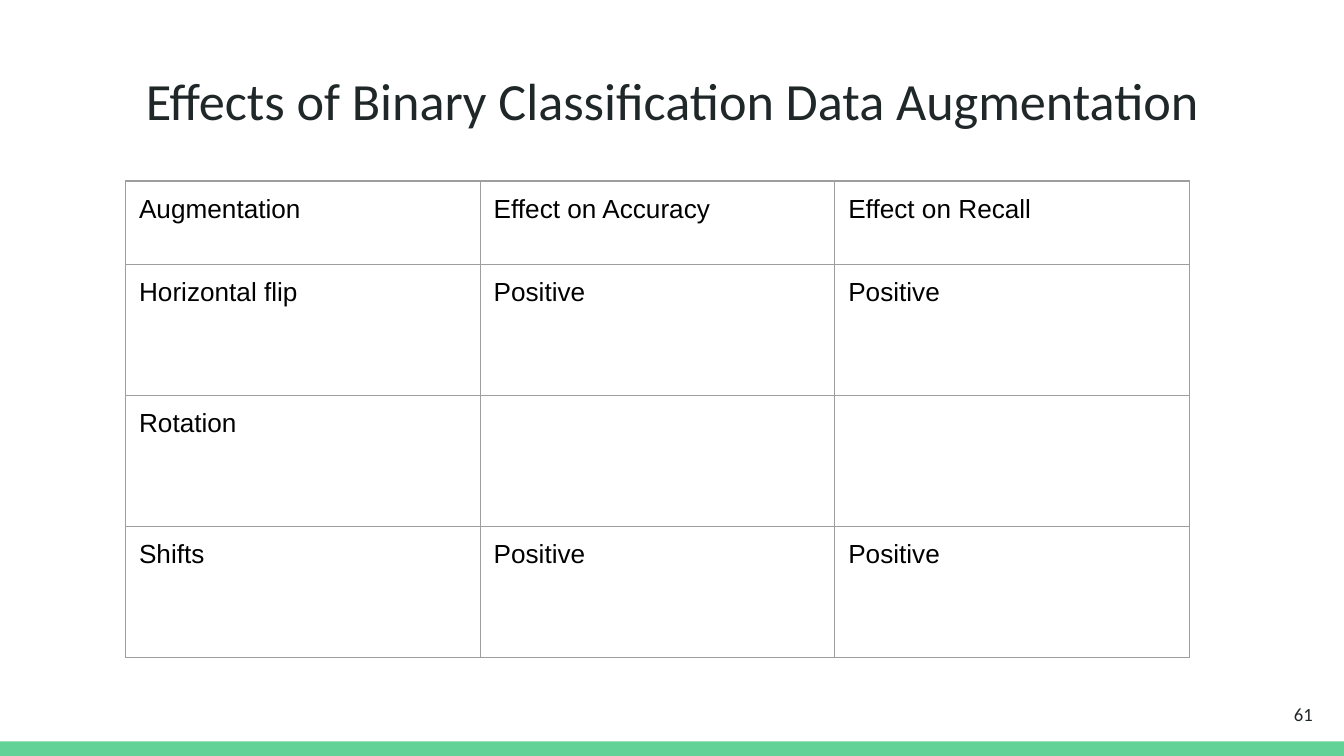
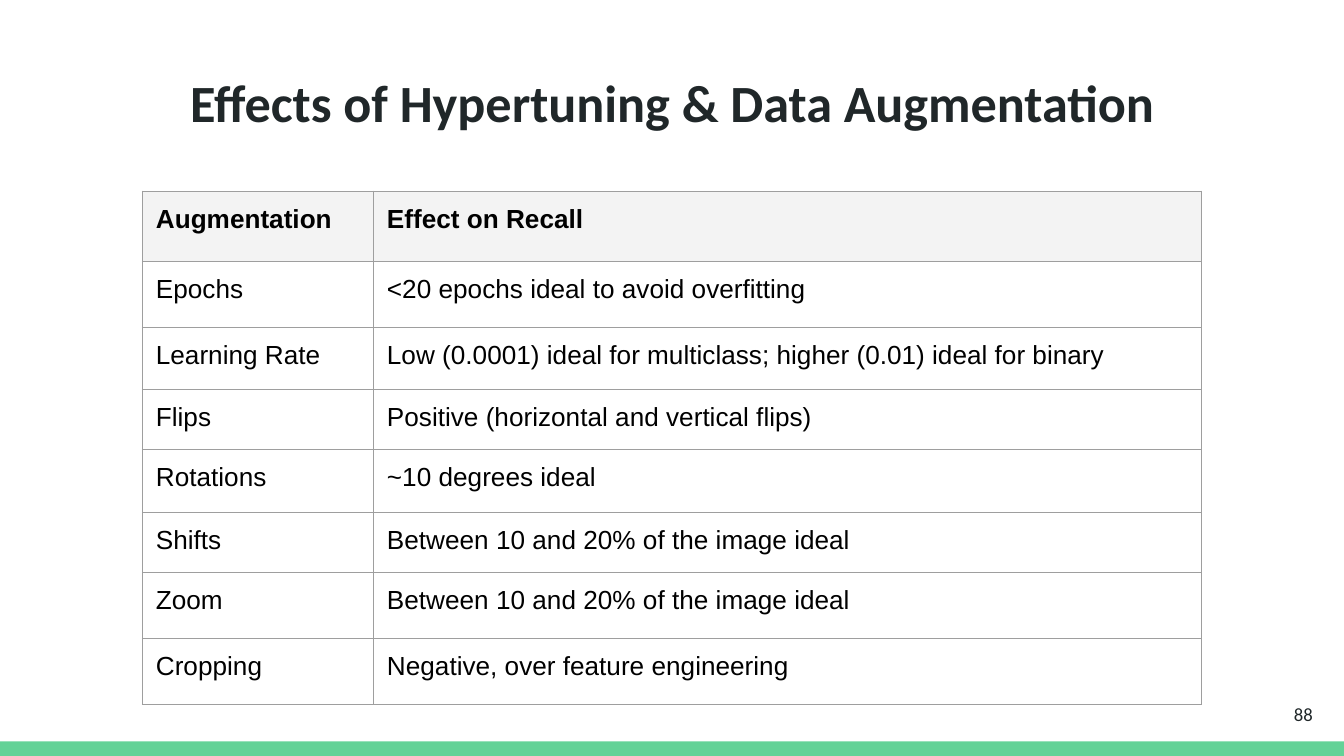
"""Builds two slides with tables on the effects of data augmentation."""
from lxml.etree import SubElement
from pptx import Presentation
from pptx.dml.color import RGBColor
from pptx.enum.shapes import MSO_SHAPE
from pptx.enum.text import MSO_ANCHOR, MSO_AUTO_SIZE, PP_ALIGN
from pptx.oxml.ns import qn
from pptx.util import Pt

COLORS = {
    "band": "63D297",
    "heading": "202729",
    "text": "000000",
    "border": "9E9E9E",
    "header": "F3F3F3",
}
WIDTH, HEIGHT = 720, 405
BAND_HEIGHT = 7.8
INSET = 7.2
TITLE_ONLY = 5

BINARY_EFFECTS = [
    ("Augmentation", "Effect on Accuracy", "Effect on Recall"),
    ("Horizontal flip", "Positive", "Positive"),
    ("Rotation", "", ""),
    ("Shifts", "Positive", "Positive"),
]
TUNING_EFFECTS = [
    ("Augmentation", "Effect on Recall"),
    ("Epochs", "<20 epochs ideal to avoid overfitting"),
    ("Learning Rate", "Low (0.0001) ideal for multiclass; higher (0.01) ideal for binary"),
    ("Flips", "Positive (horizontal and vertical flips)"),
    ("Rotations", "~10 degrees ideal"),
    ("Shifts", "Between 10 and 20% of the image ideal"),
    ("Zoom", "Between 10 and 20% of the image ideal"),
    ("Cropping", "Negative, over feature engineering"),
]


def color(name):
    return RGBColor.from_string(COLORS[name])


def write(frame, text, *, size=14, font="Arial", ink="text", bold=False,
          align=PP_ALIGN.LEFT):
    frame.word_wrap = True
    frame.margin_left = frame.margin_right = Pt(INSET)
    frame.margin_top = frame.margin_bottom = Pt(INSET)
    paragraph = frame.paragraphs[0]
    paragraph.alignment = align
    if not text:
        return
    run = paragraph.add_run()
    run.text = text
    run.font.size = Pt(size)
    run.font.name = font
    run.font.bold = bold
    run.font.color.rgb = color(ink)


def add_band(slide):
    band = slide.shapes.add_shape(
        MSO_SHAPE.RECTANGLE, 0, Pt(HEIGHT - BAND_HEIGHT), Pt(WIDTH), Pt(BAND_HEIGHT))
    band.shadow.inherit = False
    band.fill.solid()
    band.fill.fore_color.rgb = color("band")
    band.line.fill.background()


def add_title(slide, text, top, bold):
    title = slide.shapes.title
    title.left, title.top, title.width, title.height = Pt(24.5), Pt(top), Pt(671), Pt(45)
    frame = title.text_frame
    frame.auto_size = MSO_AUTO_SIZE.NONE
    frame.vertical_anchor = MSO_ANCHOR.TOP
    write(frame, text, size=28, font="Calibri", ink="heading", bold=bold,
          align=PP_ALIGN.CENTER)


def add_page_number(slide, number):
    page = slide.shapes.add_textbox(Pt(667.1), Pt(367.2), Pt(43.2), Pt(31))
    page.text_frame.vertical_anchor = MSO_ANCHOR.MIDDLE
    write(page.text_frame, str(number), size=10, font="Calibri", ink="heading",
          align=PP_ALIGN.RIGHT)


def add_borders(cell):
    properties = cell._tc.get_or_add_tcPr()
    for side in ("lnL", "lnR", "lnT", "lnB"):
        line = SubElement(properties, qn(f"a:{side}"), w=str(Pt(0.75)))
        fill = SubElement(line, qn("a:solidFill"))
        SubElement(fill, qn("a:srgbClr"), val=COLORS["border"])


def fill_cell(cell, text, is_header):
    add_borders(cell)
    if is_header:
        cell.fill.solid()
        cell.fill.fore_color.rgb = color("header")
    else:
        cell.fill.background()
    write(cell.text_frame, text, bold=is_header)
    cell.margin_left = cell.margin_right = Pt(INSET)
    cell.margin_top = cell.margin_bottom = Pt(INSET)


def add_effects(slide, effects, left, top, widths, heights, styled_header):
    table = slide.shapes.add_table(
        len(heights), len(widths), Pt(left), Pt(top),
        Pt(sum(widths)), Pt(sum(heights))).table
    table.first_row = styled_header
    table.horz_banding = False
    for column, width in zip(table.columns, widths):
        column.width = Pt(width)
    for r, (row, height, texts) in enumerate(zip(table.rows, heights, effects)):
        row.height = Pt(height)
        for cell, text in zip(row.cells, texts):
            fill_cell(cell, text, styled_header and r == 0)


def add_effects_slide(deck, title, number, effects, *, title_top, left, top,
                      widths, heights, emphasis=False):
    slide = deck.slides.add_slide(deck.slide_layouts[TITLE_ONLY])
    add_band(slide)
    add_title(slide, title, title_top, emphasis)
    add_page_number(slide, number)
    add_effects(slide, effects, left, top, widths, heights, emphasis)


def main():
    deck = Presentation()
    deck.slide_width, deck.slide_height = Pt(WIDTH), Pt(HEIGHT)
    add_effects_slide(
        deck, "Effects of Binary Classification Data Augmentation", 61, BINARY_EFFECTS,
        title_top=29.5, left=67.3, top=97, widths=[190] * 3,
        heights=[44.6] + [70.2] * 3)
    add_effects_slide(
        deck, "Effects of Hypertuning & Data Augmentation", 88, TUNING_EFFECTS,
        title_top=30.2, left=76.3, top=102.5, widths=[123.8, 443.6],
        heights=[37.6, 35.3, 33.2, 32.2, 33.8, 32.2, 35.3, 35.3], emphasis=True)
    deck.save("out.pptx")


if __name__ == "__main__":
    main()
